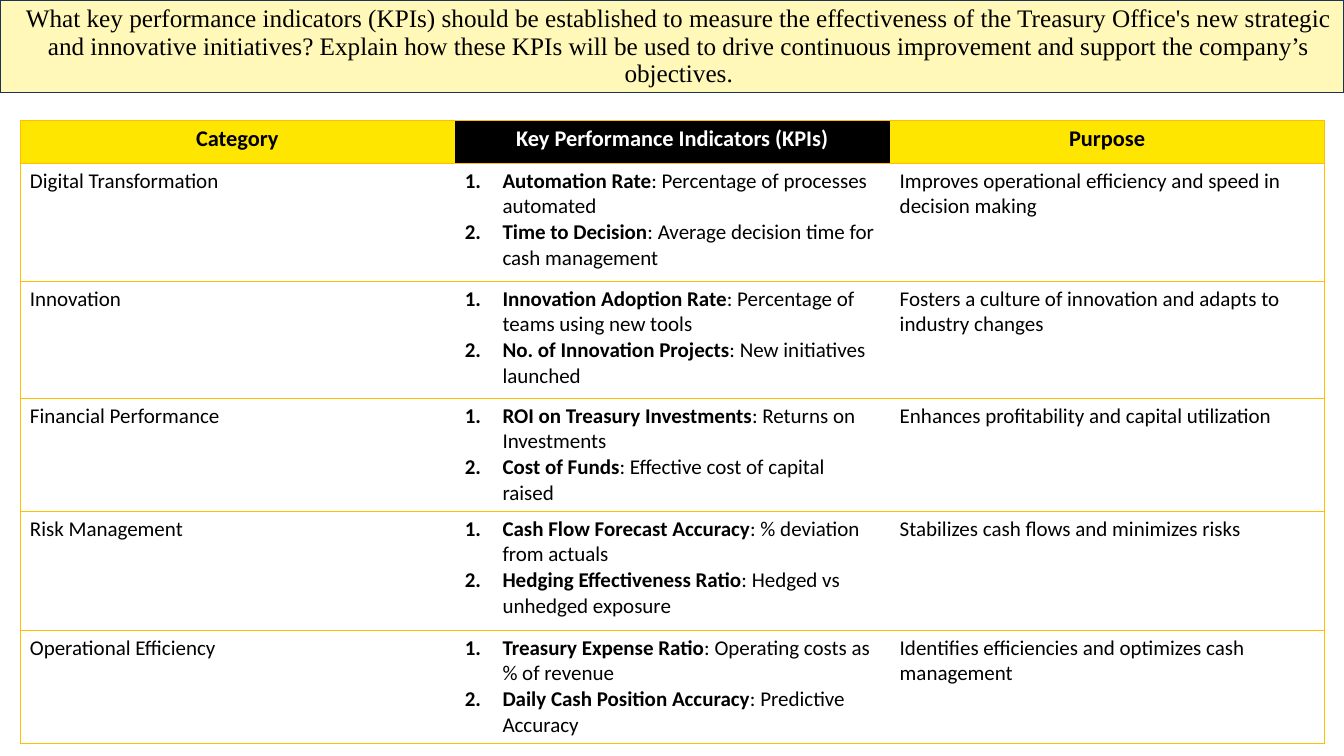
from lxml import etree
from pptx import Presentation
from pptx.dml.color import RGBColor
from pptx.enum.shapes import MSO_SHAPE as Shape
from pptx.enum.text import MSO_ANCHOR as Anchor, MSO_AUTO_SIZE as Fit, PP_ALIGN as Align
from pptx.oxml.ns import qn
from pptx.util import Cm, Pt

ASK = (
    "What key performance indicators (KPIs) should be established to measure the "
    "effectiveness of the Treasury Office's new strategic and innovative initiatives? "
    "Explain how these KPIs will be used to drive continuous improvement and support "
    "the company’s objectives."
)
HEADS = [
    ("Category", "FFE600", "000000"),
    ("Key Performance Indicators (KPIs)", "000000", "FFFFFF"),
    ("Purpose", "FFE600", "000000"),
]
ROWS = [
    ("Digital Transformation",
     [("Automation Rate", "Percentage of processes automated"),
      ("Time to Decision", "Average decision time for cash management")],
     "Improves operational efficiency and speed in decision making"),
    ("Innovation",
     [("Innovation Adoption Rate", "Percentage of teams using new tools"),
      ("No. of Innovation Projects", "New initiatives launched")],
     "Fosters a culture of innovation and adapts to industry changes"),
    ("Financial Performance",
     [("ROI on Treasury Investments", "Returns on Investments"),
      ("Cost of Funds", "Effective cost of capital raised")],
     "Enhances profitability and capital utilization"),
    ("Risk Management",
     [("Cash Flow Forecast Accuracy", "% deviation from actuals"),
      ("Hedging Effectiveness Ratio", "Hedged vs unhedged exposure")],
     "Stabilizes cash flows and minimizes risks"),
    ("Operational Efficiency",
     [("Treasury Expense Ratio", "Operating costs as % of revenue"),
      ("Daily Cash Position Accuracy", "Predictive Accuracy")],
     "Identifies efficiencies and optimizes cash management"),
]
TALL = [1.08, 2.97, 2.95, 2.85, 3, 2.85]
WIDE = 10.96
GOLD = "FFC000"
INK = "000000"


def tint(text):
    return RGBColor.from_string(text)


def style(run, size, color=INK, bold=False, face="Calibri"):
    font = run.font
    font.name, font.size, font.bold = face, Pt(size), bold
    font.color.rgb = tint(color)


def edge(cell, col):
    props = cell._tc.get_or_add_tcPr()
    shown = {"L": col == 0, "R": col == len(HEADS) - 1, "T": True, "B": True}
    for spot, (side, on) in enumerate(shown.items()):
        line = etree.Element(qn("a:ln" + side), w=str(Pt(0.5)))
        if on:
            fill = etree.SubElement(line, qn("a:solidFill"))
            etree.SubElement(fill, qn("a:srgbClr"), val=GOLD)
        else:
            etree.SubElement(line, qn("a:noFill"))
        props.insert(spot, line)


def number(para):
    props = para._p.get_or_add_pPr()
    props.set("marL", str(Cm(0.95)))
    props.set("indent", str(-Cm(0.95)))
    etree.SubElement(props, qn("a:buFont"), typeface="+mj-lt")
    etree.SubElement(props, qn("a:buAutoNum"), type="arabicPeriod")


def plain(cell, text):
    cell.text_frame.text = text
    style(cell.text_frame.paragraphs[0].runs[0], 15)


def listing(cell, items):
    frame = cell.text_frame
    for spot, (name, note) in enumerate(items):
        para = frame.add_paragraph() if spot else frame.paragraphs[0]
        number(para)
        for text, bold in ((name, True), (": " + note, False)):
            run = para.add_run()
            run.text = text
            style(run, 15, bold=bold)


def banner(slide):
    title = slide.shapes.title
    band = slide.shapes.add_shape(Shape.RECTANGLE, 0, 0, Cm(33.87), Cm(2.34))
    band.shadow.inherit = False
    band.fill.solid()
    band.fill.fore_color.rgb = tint("FFE600")
    color = band.fill._xPr.find(".//" + qn("a:srgbClr"))
    etree.SubElement(color, qn("a:alpha"), val="28000")
    band.line.color.rgb = tint("1E3256")
    band.line.width = Pt(1)
    title.element.addprevious(band.element)

    title.left, title.top = Cm(0), Cm(-0.66)
    title.width, title.height = Cm(34.21), Cm(3.68)
    frame = title.text_frame
    frame.text = ASK
    frame.word_wrap, frame.auto_size = True, Fit.NONE
    frame.vertical_anchor = Anchor.MIDDLE
    para = frame.paragraphs[0]
    para.alignment, para.line_spacing = Align.CENTER, 0.9
    style(para.runs[0], 18, face="Times New Roman")


def grid(slide):
    table = slide.shapes.add_table(
        len(TALL), len(HEADS), Cm(0.5), Cm(3.03),
        Cm(WIDE * len(HEADS)), Cm(sum(TALL))).table
    table.first_row = table.horz_banding = False
    for col in table.columns:
        col.width = Cm(WIDE)
    for row, tall in zip(table.rows, TALL):
        row.height = Cm(tall)
        for col, cell in enumerate(row.cells):
            cell.fill.background()
            edge(cell, col)

    for col, (text, back, color) in enumerate(HEADS):
        cell = table.cell(0, col)
        cell.fill.solid()
        cell.fill.fore_color.rgb = tint(back)
        cell.text_frame.text = text
        para = cell.text_frame.paragraphs[0]
        para.alignment = Align.CENTER
        style(para.runs[0], 16, color, True)
    for row, (group, items, goal) in enumerate(ROWS, 1):
        plain(table.cell(row, 0), group)
        listing(table.cell(row, 1), items)
        plain(table.cell(row, 2), goal)


def main():
    deck = Presentation()
    deck.slide_width, deck.slide_height = Cm(33.87), Cm(19.05)
    slide = deck.slides.add_slide(deck.slide_layouts[5])
    banner(slide)
    grid(slide)
    deck.save("out.pptx")


if __name__ == "__main__":
    main()
